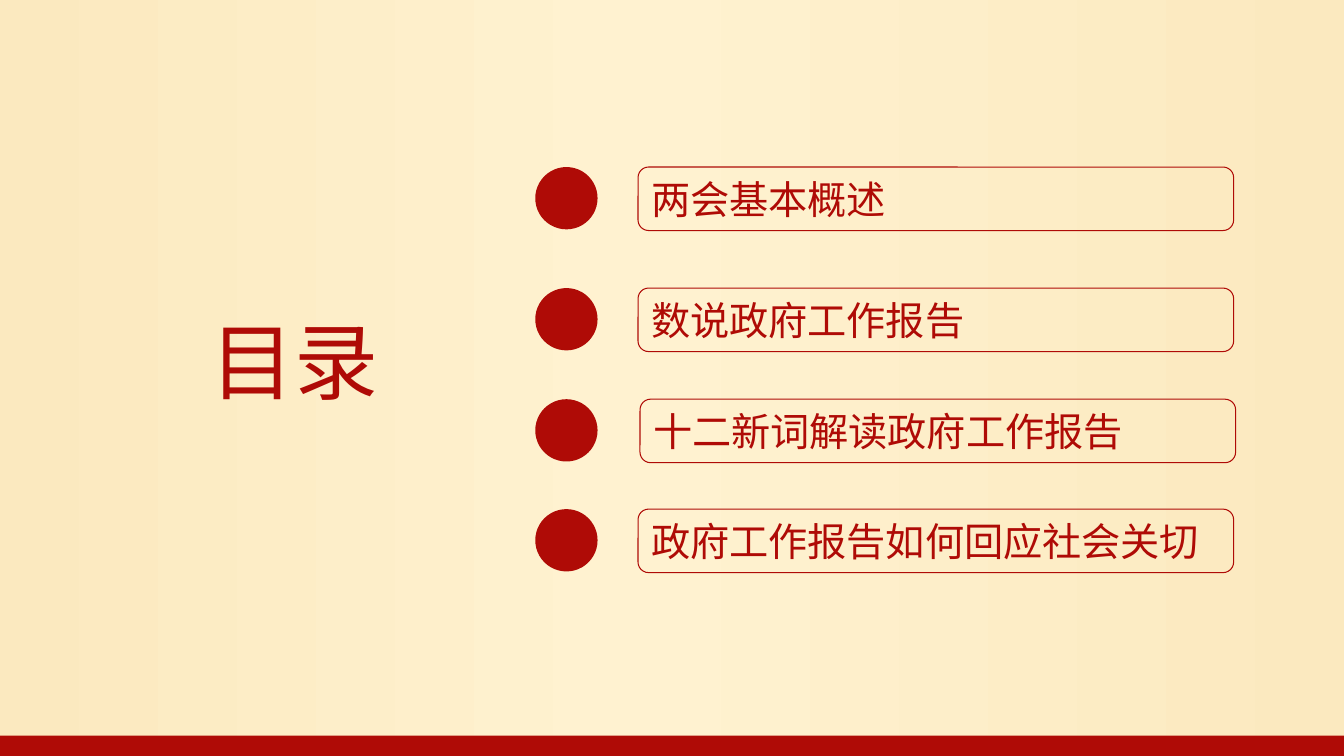
"""Build a contents slide with four outlined chapter entries."""
from copy import deepcopy
from dataclasses import dataclass

from pptx import Presentation
from pptx.dml.color import RGBColor
from pptx.enum.shapes import MSO_SHAPE
from pptx.enum.text import MSO_ANCHOR, MSO_AUTO_SIZE, PP_ALIGN
from pptx.oxml.ns import qn
from pptx.shapes.autoshape import Shape
from pptx.slide import Slide
from pptx.util import Cm, Pt

RECT = MSO_SHAPE.RECTANGLE
ROUND_RECT = MSO_SHAPE.ROUNDED_RECTANGLE
OVAL = MSO_SHAPE.OVAL
TOP = MSO_ANCHOR.TOP
GROW = MSO_AUTO_SIZE.SHAPE_TO_FIT_TEXT
LEFT, JUSTIFY = PP_ALIGN.LEFT, PP_ALIGN.JUSTIFY

COLORS = {"red": "AF0B06", "edge": "FBE9BF", "glow": "FFF2D0"}
WIDTH, HEIGHT = 33.87, 19.05
BAR_HEIGHT = 0.51
MARKER_LEFT, MARKER_SIZE = 13.49, 1.57
ENTRY_WIDTH, ENTRY_HEIGHT = 15.01, 1.6


@dataclass(frozen=True)
class Chapter:
    title: str
    top: float
    left: float = 16.08


CHAPTERS = [
    Chapter("两会基本概述", 4.21),
    Chapter("数说政府工作报告", 7.26),
    Chapter("十二新词解读政府工作报告", 10.06, 16.13),
    Chapter("政府工作报告如何回应社会关切", 12.83),
]


def rgb(name: str) -> RGBColor:
    return RGBColor.from_string(COLORS[name])


def paint_background(s: Slide) -> None:
    fill = s.background.fill
    fill.gradient()
    fill.gradient_angle = 0
    stop_list = next(s.element.iter(qn("a:gsLst")))
    stop_list.append(deepcopy(stop_list[-1]))
    stops = [("edge", 0), ("glow", 0.47), ("edge", 1)]
    for stop, (color, position) in zip(fill.gradient_stops, stops):
        stop.color.rgb = rgb(color)
        stop.position = position


def add_solid(s: Slide, kind: MSO_SHAPE, left: float, top: float,
              width: float, height: float) -> None:
    sp = s.shapes.add_shape(kind, Cm(left), Cm(top), Cm(width), Cm(height))
    sp.shadow.inherit = False
    sp.fill.solid()
    sp.fill.fore_color.rgb = rgb("red")
    sp.line.fill.background()


def write(sp: Shape, text: str, size: int, font: str,
          align: PP_ALIGN, wrap: bool) -> None:
    tf = sp.text_frame
    tf.word_wrap = wrap
    tf.auto_size = GROW
    tf.vertical_anchor = TOP
    p = tf.paragraphs[0]
    p.alignment = align
    r = p.add_run()
    r.text = text
    r.font.size = Pt(size)
    r.font.color.rgb = rgb("red")
    r.font.name = font
    east_asian = r.font._element.makeelement(qn("a:ea"), {"typeface": font})
    r.font._element.append(east_asian)


def add_chapter(s: Slide, chapter: Chapter) -> None:
    add_solid(s, OVAL, MARKER_LEFT, chapter.top, MARKER_SIZE, MARKER_SIZE)
    sp = s.shapes.add_shape(ROUND_RECT, Cm(chapter.left), Cm(chapter.top),
                            Cm(ENTRY_WIDTH), Cm(ENTRY_HEIGHT))
    sp.shadow.inherit = False
    sp.fill.background()
    sp.line.color.rgb = rgb("red")
    sp.line.width = Pt(0.75)
    write(sp, chapter.title, 28, "Arial Narrow", LEFT, True)


def main() -> None:
    prs = Presentation()
    prs.slide_width, prs.slide_height = Cm(WIDTH), Cm(HEIGHT)
    s = prs.slides.add_slide(prs.slide_layouts[6])
    paint_background(s)
    title = s.shapes.add_textbox(Cm(5.05), Cm(7.67), Cm(4.78), Cm(2.82))
    write(title, "目录", 60, "Noto Sans CJK SC", JUSTIFY, False)
    add_solid(s, RECT, 0, HEIGHT - BAR_HEIGHT, WIDTH, BAR_HEIGHT)
    for chapter in CHAPTERS:
        add_chapter(s, chapter)
    prs.save("out.pptx")


if __name__ == "__main__":
    main()
